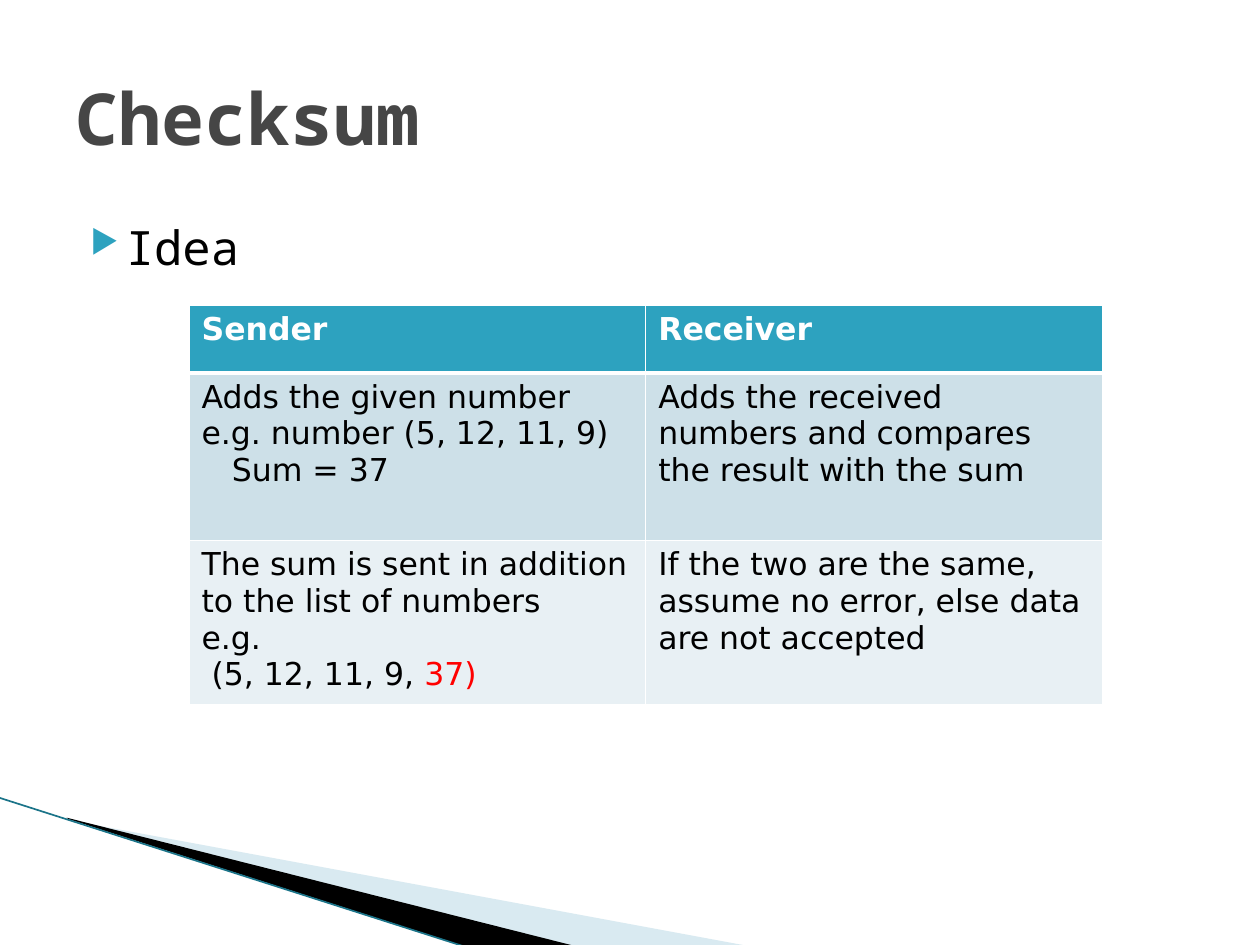
from dataclasses import dataclass

from lxml import etree
from pptx import Presentation
from pptx import util as u
from pptx.dml.color import RGBColor
from pptx.enum import shapes, text
from pptx.oxml.ns import qn


@dataclass(frozen=True)
class Theme:
    accent: str = "2DA2BF"
    title: str = "464646"
    ink: str = "000000"
    paper: str = "FFFFFF"
    alert: str = "FF0000"
    bands: tuple = ("CDE0E8", "E8F0F4")
    wedge: str = "A0CBDC"
    edge: str = "1B7489"
    mono: str = "Noto Sans Mono"
    sans: str = "DejaVu Sans"
    title_size: int = 41
    body_size: int = 27
    table_size: int = 18


def add_span(para, words, *, font, size, color, bold=False):
    span = para.add_run()
    span.text = words
    span.font.name = font
    span.font.size = u.Pt(size)
    span.font.bold = bold
    span.font.color.rgb = RGBColor.from_string(color)


def add_node(parent, tag, **attributes):
    values = {key: str(value) for key, value in attributes.items()}
    return etree.SubElement(parent, qn(tag), values)


class SlideBuilder:
    def __init__(self, page, theme):
        self.page = page
        self.theme = theme

    def text_box(self, left, top, width, height, anchor, inset=0.05):
        box = self.page.shapes.add_textbox(*map(u.Inches, (left, top, width, height)))
        frame = box.text_frame
        frame.word_wrap = True
        frame.vertical_anchor = anchor
        frame.margin_top = u.Inches(inset)
        return frame.paragraphs[0]

    def title(self, words):
        para = self.text_box(0.5, 0.3, 9, 1.25, text.MSO_ANCHOR.MIDDLE)
        add_span(para, words, font=self.theme.mono, size=self.theme.title_size,
                 color=self.theme.title, bold=True)

    def bullet(self, words):
        para = self.text_box(0.5, 1.62, 9, 4.95, text.MSO_ANCHOR.TOP, inset=0.11)
        props = para._p.get_or_add_pPr()
        props.set("marL", str(u.Inches(0.4)))
        props.set("indent", str(u.Inches(-0.28)))
        add_node(add_node(props, "a:buClr"), "a:srgbClr", val=self.theme.accent)
        add_node(props, "a:buSzPct", val=68000)
        add_node(props, "a:buChar", char="▶")
        add_span(para, words, font=self.theme.mono, size=self.theme.body_size,
                 color=self.theme.ink)

    def polygon(self, points, color, alpha=None):
        start, *rest = [tuple(map(u.Inches, point)) for point in points]
        outline = self.page.shapes.build_freeform(*start)
        outline.add_line_segments(rest, close=True)
        shape = outline.convert_to_shape()
        shape.shadow.inherit = False
        shape.line.fill.background()
        shape.fill.solid()
        shape.fill.fore_color.rgb = RGBColor.from_string(color)
        if alpha is not None:
            tint = shape._element.spPr.find(".//" + qn("a:srgbClr"))
            add_node(tint, "a:alpha", val=alpha * 1000)

    def line(self, start, end, color, width):
        line = self.page.shapes.add_connector(
            shapes.MSO_CONNECTOR.STRAIGHT, *map(u.Inches, start + end))
        line.line.color.rgb = RGBColor.from_string(color)
        line.line.width = u.Pt(width)
        add_node(line._element.spPr, "a:effectLst")

    def cell(self, cell, paragraphs, fill, color, bold, bottom, top):
        props = cell._tc.get_or_add_tcPr()
        for side, width in (("L", 1), ("R", 1), ("T", top), ("B", bottom)):
            border = add_node(props, f"a:ln{side}", w=u.Pt(width))
            add_node(add_node(border, "a:solidFill"), "a:srgbClr", val=self.theme.paper)
        cell.fill.solid()
        cell.fill.fore_color.rgb = RGBColor.from_string(fill)
        for index, (indent, *spans) in enumerate(paragraphs):
            frame = cell.text_frame
            para = frame.add_paragraph() if index else frame.paragraphs[0]
            if indent:
                para._p.get_or_add_pPr().set("marL", str(u.Inches(indent)))
            for words, tint in spans:
                add_span(para, words, font=self.theme.sans, size=self.theme.table_size,
                         color=tint or color, bold=bold)

    def table(self, left, top, width, heights, rows):
        columns = len(rows[0])
        table = self.page.shapes.add_table(
            len(rows), columns, *map(u.Inches, (left, top, width, sum(heights)))).table
        table.horz_banding = False
        for row, height in zip(table.rows, heights):
            row.height = u.Inches(height)
        for r, row in enumerate(rows):
            header = r == 0
            fill = self.theme.accent if header else self.theme.bands[(r - 1) % 2]
            color = self.theme.paper if header else self.theme.ink
            for c, paragraphs in enumerate(row):
                self.cell(table.cell(r, c), paragraphs, fill, color, header,
                          bottom=3 if header else 1, top=3 if r == 1 else 1)


def plain(words, indent=0):
    return indent, (words, None)


def main():
    deck = Presentation()
    deck.slide_width, deck.slide_height = u.Inches(10), u.Inches(7.5)
    theme = Theme()
    slide = SlideBuilder(deck.slides.add_slide(deck.slide_layouts[6]), theme)

    slide.polygon([(0.55, 6.51), (5.95, 7.51), (4.56, 7.51), (0.55, 6.5)],
                  theme.wedge, alpha=40)
    slide.polygon([(0.53, 6.49), (4.57, 7.51), (3.72, 7.52), (0.54, 6.5)], theme.ink)
    slide.line((-0.01, 6.33), (3.71, 7.52), theme.edge, 0.95)

    slide.bullet("Idea")
    slide.title("Checksum")
    slide.table(1.5, 2.42, 7.25, (0.54, 1.33, 1.26), [
        ([plain("Sender")], [plain("Receiver")]),
        ([plain("Adds the given number"),
          plain("e.g. number (5, 12, 11, 9)"),
          plain("Sum = 37", indent=0.24)],
         [plain("Adds the received numbers and compares the result with the sum")]),
        ([plain("The sum is sent in addition to the list of numbers"),
          plain("e.g."),
          (0.08, ("(5, 12, 11, 9, ", None), ("37)", theme.alert))],
         [plain("If the two are the same, assume no error, else data are not accepted")]),
    ])
    deck.save("out.pptx")


if __name__ == "__main__":
    main()
